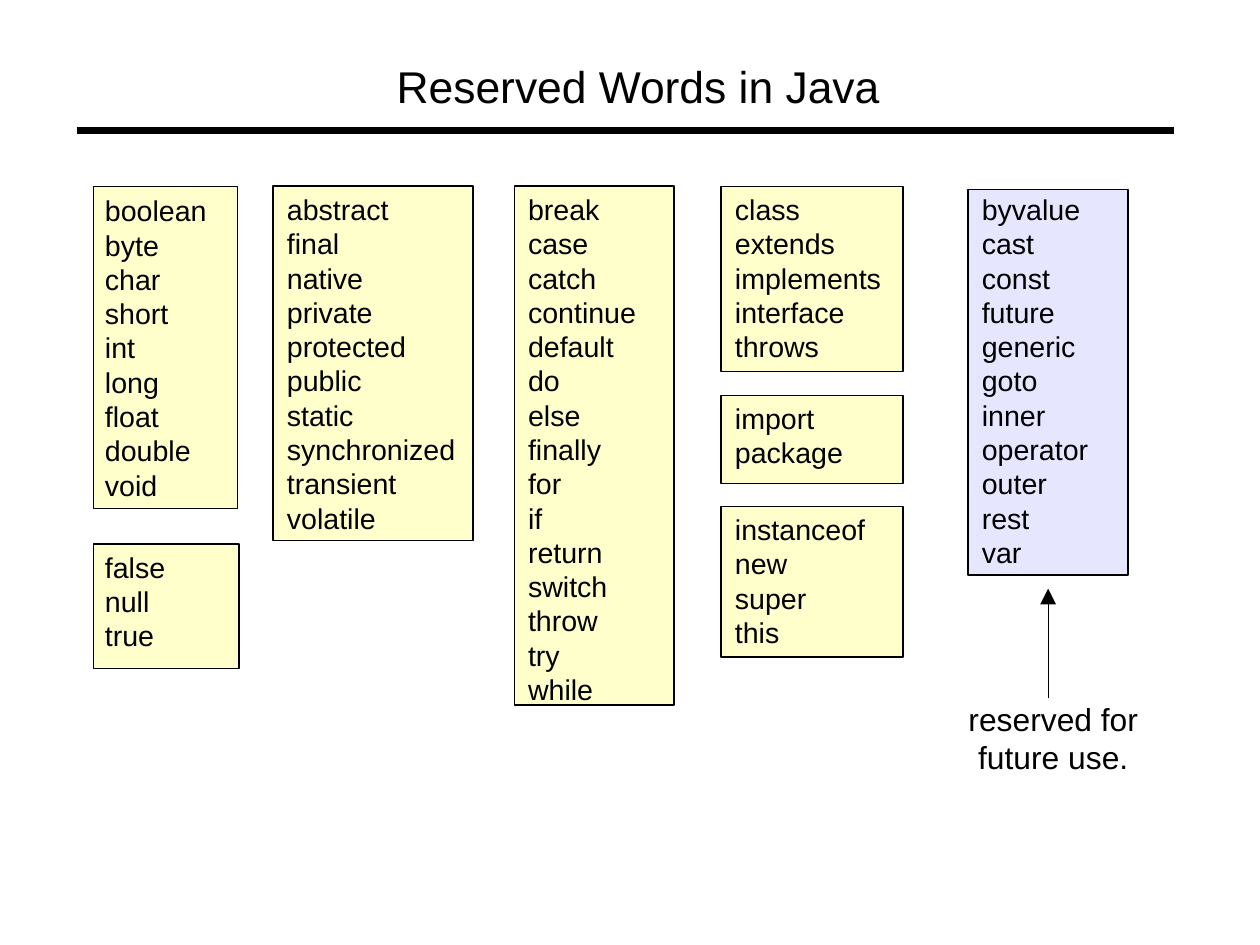
from lxml import etree
from pptx import Presentation
from pptx.dml.color import RGBColor
from pptx.enum.shapes import MSO_CONNECTOR, MSO_SHAPE
from pptx.enum.text import MSO_ANCHOR, PP_ALIGN
from pptx.oxml.ns import qn
from pptx.util import Inches, Pt

BLACK, YELLOW, LAVENDER = "000000", "FFFFCC", "E6E6FF"
CM_PER_INCH = 2.54

# left, top, width, height, left inset, top inset, fill, words
WORD_GROUPS = [
    (2.39, 1.63, 1.75, 3.1, 0.12, 0.05, YELLOW,
     "abstract final native private protected public static synchronized "
     "transient volatile"),
    (0.82, 1.63, 1.26, 2.82, 0.1, 0.06, YELLOW,
     "boolean byte char short int long float double void"),
    (0.82, 4.76, 1.27, 1.09, 0.1, 0.05, YELLOW, "false null true"),
    (4.5, 1.63, 1.4, 4.54, 0.12, 0.05, YELLOW,
     "break case catch continue default do else finally for if return switch "
     "throw try while"),
    (6.31, 1.63, 1.59, 1.62, 0.12, 0.05, YELLOW,
     "class extends implements interface throws"),
    (6.31, 3.46, 1.59, 0.77, 0.12, 0.05, YELLOW, "import package"),
    (6.31, 4.43, 1.59, 1.32, 0.12, 0.05, YELLOW, "instanceof new super this"),
    (8.47, 1.66, 1.4, 3.37, 0.12, 0.02, LAVENDER,
     "byvalue cast const future generic goto inner operator outer rest var"),
]


def write_lines(shape, lines, size, align=PP_ALIGN.LEFT, left=0, top=0):
    """Fill the shape with one paragraph per line, starting at the given insets."""
    frame = shape.text_frame
    frame.margin_left, frame.margin_top = Inches(left), Inches(top)
    frame.margin_right = frame.margin_bottom = 0
    frame.vertical_anchor = MSO_ANCHOR.TOP
    frame.text = "\n".join(lines)
    for paragraph in frame.paragraphs:
        paragraph.alignment = align
        paragraph.line_spacing = Pt(1.2 * size)
        paragraph.font.name = "Arial"
        paragraph.font.size = Pt(size)
        paragraph.font.color.rgb = RGBColor.from_string(BLACK)


def add_line(x1, y1, x2, y2, weight):
    line = slide.shapes.add_connector(
        MSO_CONNECTOR.STRAIGHT, Inches(x1), Inches(y1), Inches(x2), Inches(y2))
    line.line.color.rgb = RGBColor.from_string(BLACK)
    line.line.width = Pt(weight)
    etree.SubElement(line._element.spPr, qn("a:effectLst"))
    return line


prs = Presentation()
prs.slide_width = Inches(28 / CM_PER_INCH)
prs.slide_height = Inches(21 / CM_PER_INCH)
slide = prs.slides.add_slide(prs.slide_layouts[6])

add_line(0.67, 1.14, 10.27, 1.14, 4.31)
title = slide.shapes.add_textbox(Inches(3.47), Inches(0.52), Inches(4.5), Inches(0.47))
title.text_frame.word_wrap = True
write_lines(title, ["Reserved Words in Java"], 28)

for left, top, width, height, inset_left, inset_top, fill, words in WORD_GROUPS:
    group = slide.shapes.add_shape(
        MSO_SHAPE.RECTANGLE, Inches(left), Inches(top), Inches(width), Inches(height))
    group.shadow.inherit = False
    group.fill.solid()
    group.fill.fore_color.rgb = RGBColor.from_string(fill)
    group.line.color.rgb = RGBColor.from_string(BLACK)
    group.line.width = Pt(1)
    write_lines(group, words.split(), 18, left=inset_left, top=inset_top)

future_note = slide.shapes.add_textbox(Inches(8.47), Inches(6.12), Inches(1.49), Inches(0.67))
future_note.text_frame.word_wrap = False
write_lines(future_note, ["reserved for", "future use."], 20, PP_ALIGN.CENTER)

future_arrow = add_line(9.17, 6.11, 9.17, 5.15, 0.75)
etree.SubElement(future_arrow.line._get_or_add_ln(), qn("a:tailEnd"),
                 type="triangle", w="lg", len="lg")

prs.save("out.pptx")
